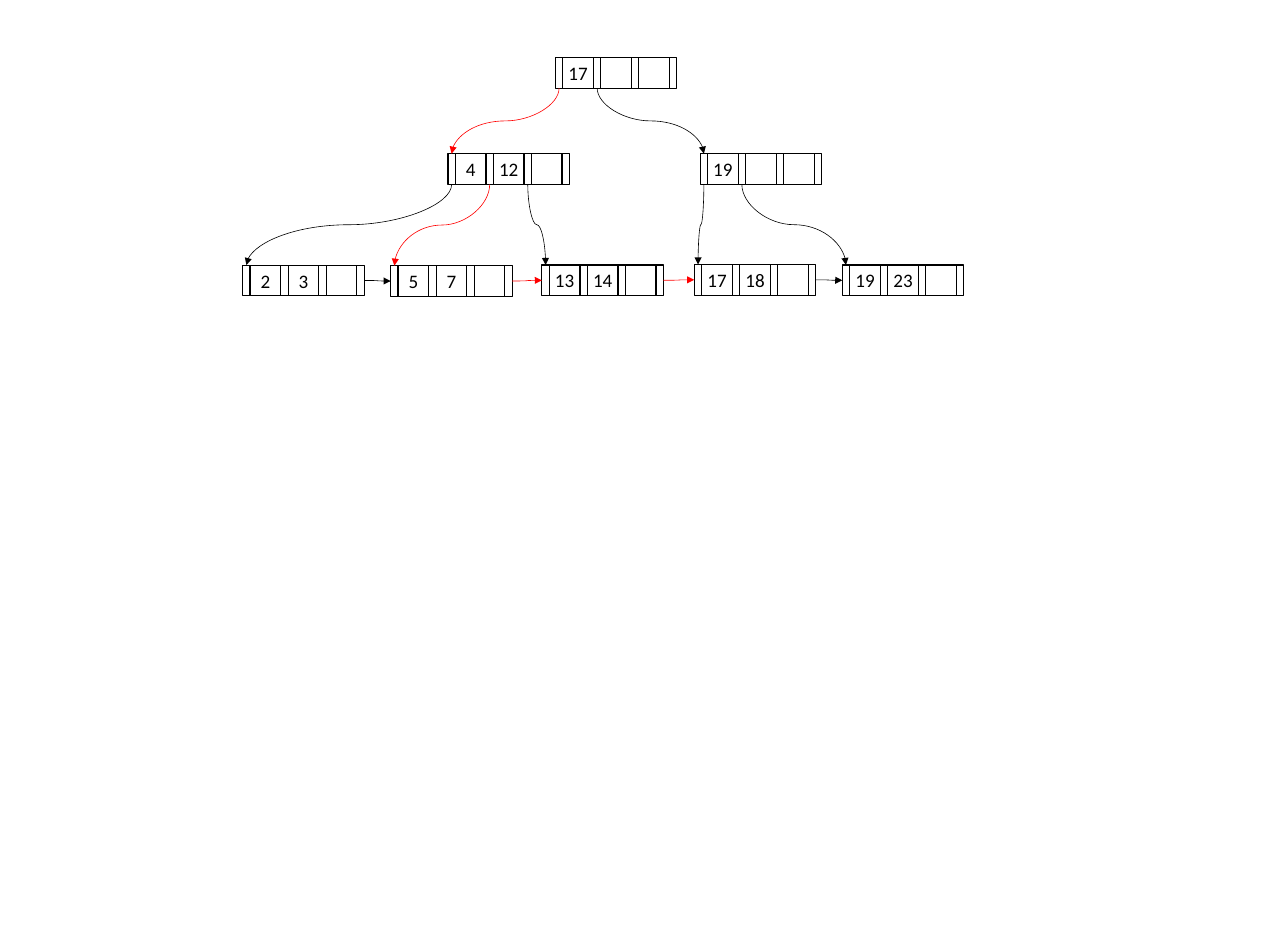
"""Draw a B+ tree whose search path and leaf scan are marked in red."""
import pptx
import pptx.dml.color
import pptx.enum.shapes
import pptx.enum.text
import pptx.oxml
import pptx.oxml.ns
import pptx.util

Pt = pptx.util.Pt
BLACK = pptx.dml.color.RGBColor(0x00, 0x00, 0x00)
RED = pptx.dml.color.RGBColor(0xFF, 0x00, 0x00)

SLIDE_SIZE = (1080, 779.76)
POINTER_WIDTH = 6.2
KEY_WIDTH = 25.7
NODE_HEIGHT = 25.7
KEYS_PER_NODE = 3
PITCH = POINTER_WIDTH + KEY_WIDTH
NODE_WIDTH = KEYS_PER_NODE * PITCH + POINTER_WIDTH

NODES = {
    "root": (465.7, 48.2, ["17"]),
    "left": (375.6, 128.9, ["4", "12"]),
    "right": (587.1, 128.9, ["19"]),
    "leaf 2": (203.5, 222.3, ["2", "3"]),
    "leaf 5": (327.6, 222.8, ["5", "7"]),
    "leaf 13": (454.4, 222.2, ["13", "14"]),
    "leaf 17": (582.2, 221.8, ["17", "18"]),
    "leaf 19": (706.3, 222.2, ["19", "23"]),
}
CHILD_LINKS = [
    ("root", 0, "left", RED),
    ("root", 1, "right", BLACK),
    ("left", 0, "leaf 2", BLACK),
    ("left", 1, "leaf 5", RED),
    ("left", 2, "leaf 13", BLACK),
    ("right", 0, "leaf 17", BLACK),
    ("right", 1, "leaf 19", BLACK),
]
LEAF_LINKS = [
    ("leaf 2", "leaf 5", BLACK),
    ("leaf 5", "leaf 13", RED),
    ("leaf 13", "leaf 17", RED),
    ("leaf 17", "leaf 19", BLACK),
]


class TreePainter:
    """Hold the drawing style and the slide that receives the tree."""

    font_name = "Calibri"
    font_size = 16
    cell_line = 1
    link_line = 0.5

    def __init__(self, slide):
        self.slide = slide

    def cell(self, group, left, top, width, text=""):
        """Draw one outlined cell of a node."""
        shape = group.shapes.add_shape(
            pptx.enum.shapes.MSO_SHAPE.RECTANGLE,
            Pt(left), Pt(top), Pt(width), Pt(NODE_HEIGHT))
        shape.shadow.inherit = False
        shape.fill.background()
        shape.line.color.rgb = BLACK
        shape.line.width = Pt(self.cell_line)
        if text:
            self.label(shape.text_frame, text)

    def label(self, text_frame, text):
        """Centre a key in its cell."""
        text_frame.margin_left = text_frame.margin_right = 0
        text_frame.margin_top = text_frame.margin_bottom = 0
        text_frame.vertical_anchor = pptx.enum.text.MSO_ANCHOR.MIDDLE
        text_frame.text = text
        paragraph = text_frame.paragraphs[0]
        paragraph.alignment = pptx.enum.text.PP_ALIGN.CENTER
        font = paragraph.runs[0].font
        font.name = self.font_name
        font.size = Pt(self.font_size)
        font.color.rgb = BLACK

    def node(self, left, top, keys):
        """Draw a node as alternating pointer and key cells."""
        group = self.slide.shapes.add_group_shape()
        for index in range(KEYS_PER_NODE + 1):
            self.cell(group, left + index * PITCH, top, POINTER_WIDTH)
        for index in range(KEYS_PER_NODE):
            text = keys[index] if index < len(keys) else ""
            self.cell(group, left + index * PITCH + POINTER_WIDTH, top, KEY_WIDTH, text)

    def arrow(self, start, end, color):
        """Draw a curved arrow that leaves its start horizontally."""
        connector = self.slide.shapes.add_connector(
            pptx.enum.shapes.MSO_CONNECTOR.CURVE,
            *(Pt(value) for value in (*start, *end)))
        connector.line.color.rgb = color
        connector.line.width = Pt(self.link_line)
        properties = connector._element.spPr
        line = properties.find(pptx.oxml.ns.qn("a:ln"))
        line.append(self.element("a:tailEnd", 'type="triangle"'))
        properties.append(self.element("a:effectLst"))
        return connector

    def down_arrow(self, start, end, color):
        """Draw a curved arrow that leaves its start downwards, as a turned connector."""
        center_x, center_y = (start[0] + end[0]) / 2, (start[1] + end[1]) / 2
        half_width = (end[1] - start[1]) / 2
        half_height = abs(end[0] - start[0]) / 2
        goes_right = end[0] > start[0]
        side = 1 if goes_right else -1
        connector = self.arrow(
            (center_x + side * half_width, center_y - half_height),
            (center_x - side * half_width, center_y + half_height), color)
        transform = connector._element.spPr.find(pptx.oxml.ns.qn("a:xfrm"))
        transform.set("rot", str((270 if goes_right else 90) * 60000))

    @staticmethod
    def element(tag, attributes=""):
        """Make an empty drawing element."""
        namespace = pptx.oxml.ns.nsdecls("a")
        return pptx.oxml.parse_xml(f"<{tag} {namespace} {attributes}/>")


def main():
    """Build the slide and save it."""
    presentation = pptx.Presentation()
    presentation.slide_width, presentation.slide_height = map(Pt, SLIDE_SIZE)
    slide = presentation.slides.add_slide(presentation.slide_layouts[6])
    painter = TreePainter(slide)

    for left, top, keys in NODES.values():
        painter.node(left, top, keys)

    for parent, pointer, child, color in CHILD_LINKS:
        parent_left, parent_top, _ = NODES[parent]
        child_left, child_top, _ = NODES[child]
        painter.down_arrow(
            (parent_left + pointer * PITCH + POINTER_WIDTH / 2, parent_top + NODE_HEIGHT),
            (child_left + POINTER_WIDTH / 2, child_top), color)

    for leaf, following, color in LEAF_LINKS:
        leaf_left, leaf_top, _ = NODES[leaf]
        next_left, next_top, _ = NODES[following]
        painter.arrow(
            (leaf_left + NODE_WIDTH, leaf_top + NODE_HEIGHT / 2),
            (next_left, next_top + NODE_HEIGHT / 2), color)

    presentation.save("out.pptx")


if __name__ == "__main__":
    main()
